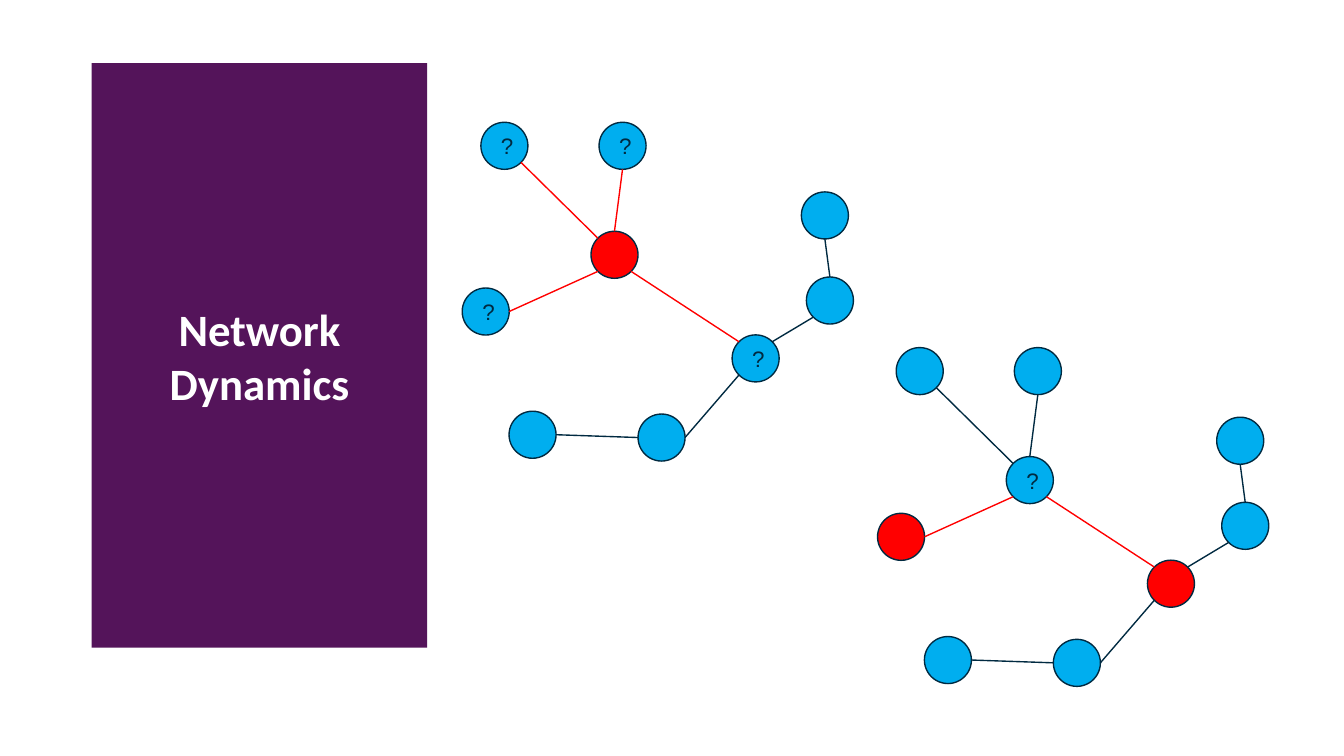
from dataclasses import dataclass
from math import cos, radians, sin

from pptx import Presentation
from pptx.dml.color import RGBColor
from pptx.enum import shapes, text
from pptx.oxml.ns import qn
from pptx.util import Pt

PURPLE, BLUE, RED, NAVY, WHITE = "54145A", "00AEEF", "FF0000", "002A41", "FFFFFF"
DIAMETER = 25.2
LINE_WIDTH = 0.75


@dataclass(frozen=True)
class Node:
    x: float  # centre
    y: float


@dataclass(frozen=True)
class Link:
    start: str
    start_angle: int  # clockwise from the right, in degrees
    end: str
    end_angle: int


@dataclass(frozen=True)
class Network:
    dx: float
    dy: float
    active: str  # nodes drawn in red
    unknown: str  # nodes marked with "?"
    red_links: tuple[str, ...]


NODES = {
    "A": Node(270.2, 78.1),
    "B": Node(333.5, 78.1),
    "C": Node(260.2, 166.9),
    "D": Node(329.2, 136.5),
    "E": Node(285.3, 232.9),
    "F": Node(441.9, 115.4),
    "G": Node(354.4, 234.4),
    "H": Node(444.6, 161),
    "I": Node(404.8, 192),
}
LINKS = [
    Link("A", 45, "D", 225),
    Link("E", 0, "G", 180),
    Link("D", 45, "I", 225),
    Link("C", 0, "D", 135),
    Link("B", 90, "D", 270),
    Link("G", 0, "I", 135),
    Link("I", 315, "H", 135),
    Link("F", 90, "H", 270),
]
NETWORKS = [
    Network(0, 0, "D", "ABCI", ("AD", "BD", "CD", "DI")),
    Network(222.5, 120.7, "CI", "D", ("CD", "DI")),
]


def color(value: str) -> RGBColor:
    return RGBColor.from_string(value)


def write(shape, words: str, *, font: str, size: float, fill: str, bold: bool = False) -> None:
    frame = shape.text_frame
    frame.word_wrap = True
    frame.vertical_anchor = text.MSO_ANCHOR.MIDDLE
    para = frame.paragraphs[0]
    para.alignment = text.PP_ALIGN.CENTER
    span = para.add_run()
    span.text = words
    span.font.name, span.font.size, span.font.bold = font, Pt(size), bold
    span.font.color.rgb = color(fill)


def draw_node(group, node: Node, network: Network, name: str) -> None:
    radius = DIAMETER / 2
    circle = group.shapes.add_shape(
        shapes.MSO_SHAPE.OVAL,
        Pt(node.x + network.dx - radius), Pt(node.y + network.dy - radius),
        Pt(DIAMETER), Pt(DIAMETER))
    circle.shadow.inherit = False
    circle.fill.solid()
    circle.fill.fore_color.rgb = color(RED if name in network.active else BLUE)
    circle.line.color.rgb = color(NAVY)
    circle.line.width = Pt(LINE_WIDTH)
    if name in network.unknown:
        write(circle, "?", font="Arial", size=12, fill=NAVY)


def rim_point(node: Node, angle: int, network: Network) -> tuple[int, int]:
    turn = radians(angle)
    return (Pt(node.x + network.dx + DIAMETER / 2 * cos(turn)),
            Pt(node.y + network.dy + DIAMETER / 2 * sin(turn)))


def draw_link(group, link: Link, network: Network) -> None:
    line = group.shapes.add_connector(
        shapes.MSO_CONNECTOR.STRAIGHT,
        *rim_point(NODES[link.start], link.start_angle, network),
        *rim_point(NODES[link.end], link.end_angle, network))
    is_red = link.start + link.end in network.red_links
    line.line.color.rgb = color(RED if is_red else NAVY)
    line.line.width = Pt(LINE_WIDTH)
    properties = line._element.spPr
    properties.append(properties.makeelement(qn("a:effectLst"), {}))


def draw_network(page, network: Network) -> None:
    group = page.shapes.add_group_shape()
    for name, node in NODES.items():
        draw_node(group, node, network, name)
    for link in LINKS:
        draw_link(group, link, network)


def draw_title(page) -> None:
    box = page.shapes.add_shape(
        shapes.MSO_SHAPE.RECTANGLE, Pt(49.1), Pt(33.8), Pt(179.8), Pt(313.2))
    box.shadow.inherit = False
    box.fill.solid()
    box.fill.fore_color.rgb = color(PURPLE)
    box.line.fill.background()
    frame = box.text_frame
    frame.margin_left = frame.margin_right = frame.margin_top = frame.margin_bottom = 0
    write(box, "Network Dynamics", font="Calibri", size=24, fill=WHITE, bold=True)


def main() -> None:
    deck = Presentation()
    deck.slide_width, deck.slide_height = Pt(720), Pt(405)
    page = deck.slides.add_slide(deck.slide_layouts[6])

    # Title panel
    draw_title(page)

    # The same network at two moments
    for network in NETWORKS:
        draw_network(page, network)

    deck.save("out.pptx")


if __name__ == "__main__":
    main()
